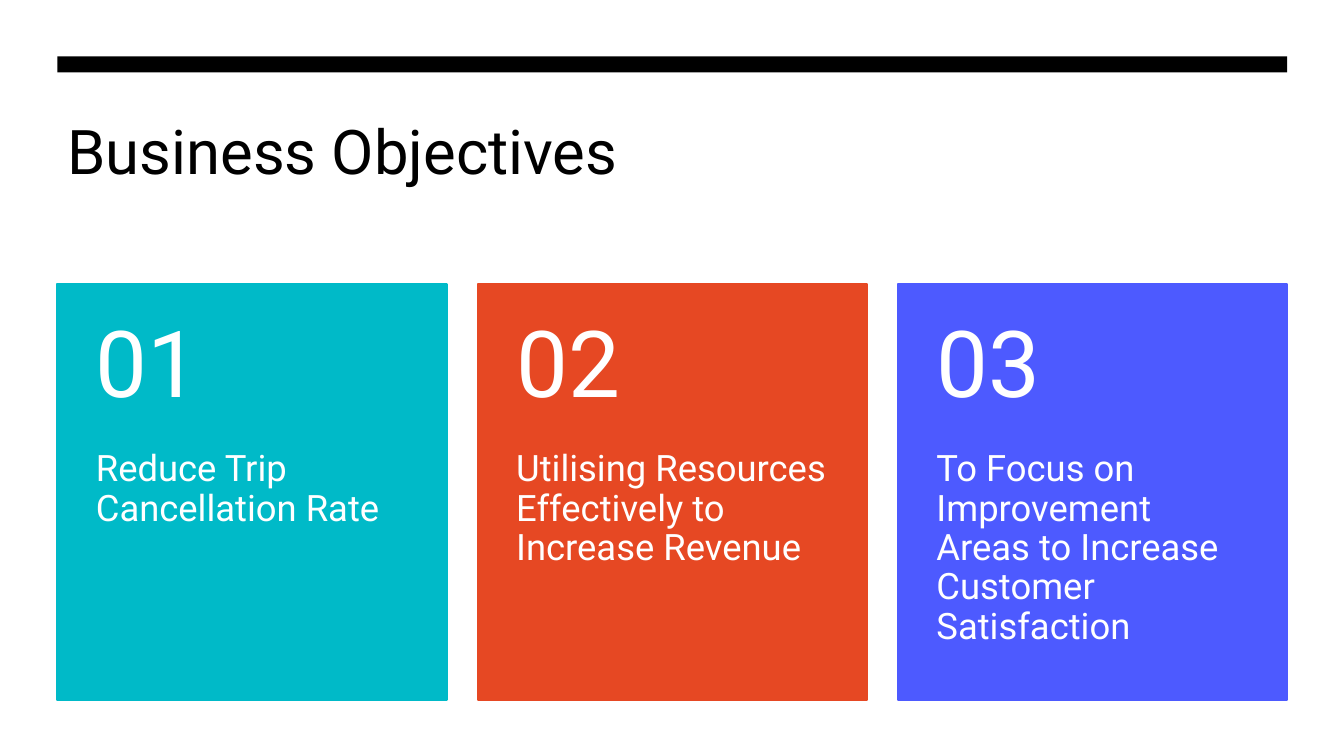
from pptx import Presentation
from pptx.dml.color import RGBColor
from pptx.enum.shapes import MSO_SHAPE
from pptx.enum.text import MSO_ANCHOR, MSO_AUTO_SIZE, PP_ALIGN
from pptx.util import Pt

RECTANGLE = MSO_SHAPE.RECTANGLE
TOP, MIDDLE = MSO_ANCHOR.TOP, MSO_ANCHOR.MIDDLE
LEFT_ALIGN = PP_ALIGN.LEFT
NO_AUTOFIT = MSO_AUTO_SIZE.NONE
TITLE_ONLY_LAYOUT = 5
FONT = "Roboto"
WHITE, BLACK = "FFFFFF", "000000"
MARGIN, CONTENT_WIDTH = 41, 878.4
CARD_WIDTH, CARD_HEIGHT, NUMBER_HEIGHT = 278, 296.8, 118.8
OBJECTIVES = [
    ("Reduce Trip Cancellation Rate", "00BAC8"),
    ("Utilising Resources Effectively to Increase Revenue", "E64823"),
    ("To Focus on Improvement Areas to Increase Customer Satisfaction", "4D5AFF"),
]


def color(value):
    """Return the colour for a hex string."""
    return RGBColor.from_string(value)


def write(shape, text, size, text_color, anchor, insets, spacing=1.0):
    """Fill a shape with one formatted paragraph; insets run left, top, right, bottom."""
    frame = shape.text_frame
    frame.text = text
    frame.word_wrap = True
    frame.auto_size = NO_AUTOFIT
    frame.vertical_anchor = anchor
    frame.margin_left, frame.margin_top, frame.margin_right, frame.margin_bottom = map(Pt, insets)
    paragraph = frame.paragraphs[0]
    paragraph.alignment = LEFT_ALIGN
    paragraph.line_spacing = spacing
    font = paragraph.runs[0].font
    font.name, font.size = FONT, Pt(size)
    font.color.rgb = color(text_color)


def add_block(shapes, left, top, width, height, fill, line_width=0):
    """Add a solid rectangle, outlined in its own colour if a line width is given."""
    block = shapes.add_shape(RECTANGLE, Pt(left), Pt(top), Pt(width), Pt(height))
    block.shadow.inherit = False
    block.fill.solid()
    block.fill.fore_color.rgb = color(fill)
    if line_width:
        block.line.color.rgb = color(fill)
        block.line.width = Pt(line_width)
    else:
        block.line.fill.background()


def add_header(slide, left, top, width):
    """Place the black bar and the slide title below it."""
    add_block(slide.shapes, left, top, width, 11.6, BLACK)
    title = slide.shapes.title
    title.left, title.top = Pt(left), Pt(top + 36.8)
    title.width, title.height = Pt(width), Pt(115.2)
    write(title, "Business Objectives", 44, BLACK, TOP, (7.2, 3.6, 7.2, 3.6))


def add_card(slide, left, top, width, height, number, objective, fill):
    """Place one numbered objective on a coloured card."""
    shapes = slide.shapes.add_group_shape().shapes
    add_block(shapes, left, top, width, height, fill, 1.5)
    text_top = top + NUMBER_HEIGHT
    objective_box = shapes.add_textbox(
        Pt(left), Pt(text_top), Pt(width), Pt(height - NUMBER_HEIGHT))
    write(objective_box, objective, 26, WHITE, TOP, (27.5, 0, 27.5, 26), 0.9)
    number_box = shapes.add_textbox(Pt(left), Pt(top), Pt(width), Pt(NUMBER_HEIGHT))
    write(number_box, f"{number:02}", 66, WHITE, MIDDLE, (27.5, 13, 27.5, 13), 0.9)


def add_cards(slide, left, top, width):
    """Spread the objective cards evenly across the given width."""
    step = (width - CARD_WIDTH) / (len(OBJECTIVES) - 1)
    for index, (objective, fill) in enumerate(OBJECTIVES):
        add_card(slide, left + index * step, top, CARD_WIDTH, CARD_HEIGHT,
                 index + 1, objective, fill)


def main():
    """Build and save the presentation."""
    presentation = Presentation()
    presentation.slide_width, presentation.slide_height = Pt(960), Pt(540)
    slide = presentation.slides.add_slide(presentation.slide_layouts[TITLE_ONLY_LAYOUT])
    slide.background.fill.solid()
    slide.background.fill.fore_color.rgb = color(WHITE)
    add_header(slide, MARGIN, 40.2, CONTENT_WIDTH)
    add_cards(slide, MARGIN, 203, CONTENT_WIDTH)
    presentation.save("out.pptx")


if __name__ == "__main__":
    main()
